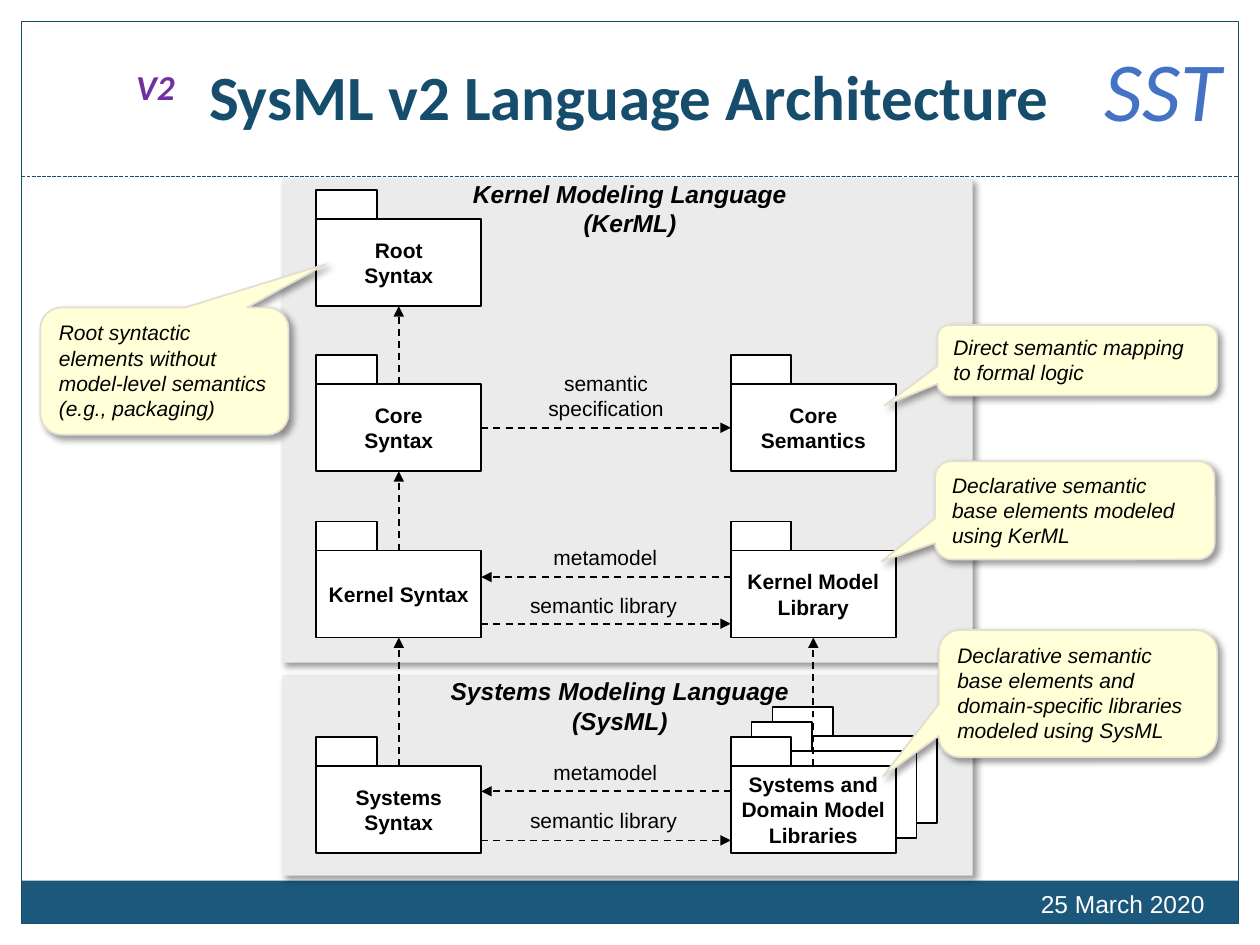
from lxml.etree import SubElement
from pptx import Presentation
from pptx.dml.color import RGBColor
from pptx.enum.dml import MSO_LINE
from pptx.enum.shapes import MSO_CONNECTOR, MSO_SHAPE
from pptx.enum.text import MSO_ANCHOR, PP_ALIGN
from pptx.oxml.ns import qn
from pptx.util import Inches, Pt

WHITE = RGBColor(0xFF, 0xFF, 0xFF)
BLACK = RGBColor(0, 0, 0)
NAVY = RGBColor(0x18, 0x4E, 0x6D)
TITLE = RGBColor(0x16, 0x4C, 0x6C)
FOOTER = RGBColor(0x1B, 0x58, 0x7C)
PURPLE = RGBColor(0x70, 0x30, 0xA0)
BLUE = RGBColor(0x44, 0x72, 0xC4)
PANEL = RGBColor(0xEB, 0xEB, 0xEB)
NOTE = RGBColor(0xFF, 0xFF, 0xD8)
NOTE_EDGE = RGBColor(0xE3, 0xDE, 0xD1)

PACKAGE_W, BODY_H, TAB_W, TAB_H = 1.31, 0.69, 0.48, 0.23
LEFT_X, RIGHT_X = 2.51, 5.8
ROOT_Y, CORE_Y, KERNEL_Y, SYSTEMS_Y = 1.74, 3.05, 4.37, 6.08


def write(shape, text, size, color, font="Arial", bold=False, italic=False,
          align=PP_ALIGN.LEFT, wrap=True, anchor=MSO_ANCHOR.TOP):
    """Set the text of a shape and format all its runs."""
    tf = shape.text_frame
    tf.text = text
    tf.word_wrap = wrap
    tf.vertical_anchor = anchor
    for p in tf.paragraphs:
        p.alignment = align
        for r in p.runs:
            r.font.size = Pt(size)
            r.font.name = font
            r.font.bold = bold
            r.font.italic = italic
            r.font.color.rgb = color


def add_label(slide, box, text, size, color, **style):
    """Add a text box."""
    sp = slide.shapes.add_textbox(*map(Inches, box))
    write(sp, text, size, color, **style)
    return sp


def add_box(slide, box, fill=None, line=None, width=1, kind=MSO_SHAPE.RECTANGLE):
    """Add a preset shape with a plain fill and outline."""
    sp = slide.shapes.add_shape(kind, *map(Inches, box))
    sp.shadow.inherit = False
    if fill is None:
        sp.fill.background()
    else:
        sp.fill.solid()
        sp.fill.fore_color.rgb = fill
    if line is None:
        sp.line.fill.background()
    else:
        sp.line.color.rgb = line
        sp.line.width = Pt(width)
    return sp


def cast_shadow(shape):
    """Give a shape a soft shadow to the lower right."""
    effects = shape._element.spPr.find(qn("a:effectLst"))
    shadow = SubElement(effects, qn("a:outerShdw"), blurRad=str(Pt(4)), dist=str(Pt(3)),
                        dir="2700000", algn="tl", rotWithShape="0")
    color = SubElement(shadow, qn("a:srgbClr"), val="000000")
    SubElement(color, qn("a:alpha"), val="40000")


def add_line(slide, start, end, color, dash, width=1):
    """Add a dashed straight connector."""
    cn = slide.shapes.add_connector(MSO_CONNECTOR.STRAIGHT, *map(Inches, (*start, *end)))
    cn.line.color.rgb = color
    cn.line.width = Pt(width)
    cn.line.dash_style = dash
    SubElement(cn._element.spPr, qn("a:effectLst"))
    return cn


def add_arrow(slide, start, end):
    """Add a dashed arrow between two points."""
    cn = add_line(slide, start, end, BLACK, MSO_LINE.DASH)
    SubElement(cn.line._get_or_add_ln(), qn("a:tailEnd"), type="triangle")
    return cn


def join(slide, source, source_side, target, target_side):
    """Add a dashed arrow glued to the sides of two shapes."""
    cn = add_arrow(slide, (0, 0), (1, 1))
    cn.begin_connect(source, source_side)
    cn.end_connect(target, target_side)


def add_package(slide, x, y, text=""):
    """Add a package whose body starts at x, y with its tab above; return the body."""
    body = add_box(slide, (x, y, PACKAGE_W, BODY_H), WHITE, BLACK)
    add_box(slide, (x, y - TAB_H, TAB_W, TAB_H), WHITE, BLACK)
    if text:
        write(body, text, 12, BLACK, bold=True, align=PP_ALIGN.CENTER,
              anchor=MSO_ANCHOR.MIDDLE)
    return body


def add_panel(slide, box, heading_box, heading):
    """Add a shaded language panel and its heading."""
    cast_shadow(add_box(slide, box, PANEL))
    add_label(slide, heading_box, heading, 14, BLACK, bold=True, italic=True,
              align=PP_ALIGN.CENTER, wrap=False)


def add_exchange(slide, top, back_y, forth_y):
    """Add the metamodel and library arrows between a syntax and its library."""
    left, right = LEFT_X + PACKAGE_W, RIGHT_X
    add_arrow(slide, (right, back_y), (left, back_y))
    add_arrow(slide, (left, forth_y), (right, forth_y))
    for x, y, w, text in ((4.29, top, 1.03, "metamodel"),
                          (4.1, top + 0.38, 1.38, "semantic library")):
        add_label(slide, (x, y, w, 0.3), text, 12, BLACK,
                  align=PP_ALIGN.CENTER, wrap=False)


def add_callout(slide, box, tip, text):
    """Add a note whose pointer ends at tip, given relative to the note's size."""
    sp = add_box(slide, box, NOTE, NOTE_EDGE, kind=MSO_SHAPE.ROUNDED_RECTANGULAR_CALLOUT)
    cast_shadow(sp)
    sp.adjustments[0], sp.adjustments[1] = tip
    write(sp, text, 12, BLACK, italic=True)


def add_frame(slide, x, y, w, h):
    """Add the page frame, header marks, title and dated footer band."""
    add_box(slide, (x, y + h - 0.34, w, 0.34), FOOTER)
    add_box(slide, (x, y, w, h), line=NAVY, width=0.75)
    add_line(slide, (x, 1.4), (x + w, 1.4), NAVY, MSO_LINE.SQUARE_DOT, 0.75)
    mark = add_label(slide, (1.08, 0.52, 0.31, 0.34), "V2", 20, PURPLE, font="Calibri",
                     bold=True, italic=True, wrap=False)
    tf = mark.text_frame
    tf.margin_left = tf.margin_top = tf.margin_right = tf.margin_bottom = 0
    add_label(slide, (8.67, 0.25, 1.14, 0.91), "SST", 48, BLUE, font="Calibri",
              italic=True, wrap=False)
    title = slide.shapes.title
    title.left, title.top, title.width, title.height = map(Inches, (0.33, 0.34, 9.33, 0.83))
    write(title, "SysML v2 Language Architecture", 36, TITLE, font="Calibri", bold=True,
          align=PP_ALIGN.CENTER, anchor=MSO_ANCHOR.MIDDLE)
    add_label(slide, (6.33, 7.01, 3.33, 0.4), "25 March 2020", 14, WHITE,
              align=PP_ALIGN.RIGHT)


def add_architecture(slide, x, y, w):
    """Add the two language panels with their packages and arrows."""
    add_panel(slide, (x, y + 3.94, w, 1.59), (3.47, 5.32, 2.9, 0.57),
              "Systems Modeling Language\v(SysML)")
    add_panel(slide, (x, y, w, 3.84), (3.65, 1.37, 2.7, 0.57),
              "Kernel Modeling Language\v(KerML)")
    for step in (2, 1):
        add_package(slide, RIGHT_X + 0.165 * step, SYSTEMS_Y - 0.12 * step)
    root = add_package(slide, LEFT_X, ROOT_Y, "Root\vSyntax")
    core = add_package(slide, LEFT_X, CORE_Y, "Core\vSyntax")
    kernel = add_package(slide, LEFT_X, KERNEL_Y, "Kernel Syntax")
    systems = add_package(slide, LEFT_X, SYSTEMS_Y, "Systems Syntax")
    library = add_package(slide, RIGHT_X, KERNEL_Y, "Kernel Model Library")
    domain = add_package(slide, RIGHT_X, SYSTEMS_Y, "Systems and Domain Model Libraries")
    domain.text_frame.margin_left = domain.text_frame.margin_right = 0
    semantics = add_package(slide, RIGHT_X, CORE_Y, "Core Semantics")

    for source, target in ((core, root), (kernel, core), (systems, kernel), (domain, library)):
        join(slide, source, 0, target, 2)
    join(slide, core, 3, semantics, 1)
    add_label(slide, (4.25, 2.89, 1.12, 0.5), "semantic\nspecification", 12, BLACK,
              align=PP_ALIGN.CENTER, wrap=False)
    add_exchange(slide, 4.27, 4.58, 4.95)
    add_exchange(slide, 5.98, 6.28, 6.67)


def add_callouts(slide):
    """Add the explanatory notes at both sides of the panels."""
    for box, tip, text in (
        ((7.44, 2.58, 2.22, 0.56), (-0.69, 0.64), "Direct semantic mapping to formal logic"),
        ((7.42, 3.66, 2.22, 0.78), (-0.69, 0.52),
         "Declarative semantic base elements modeled using KerML"),
        ((7.45, 5, 2.21, 1.01), (-0.7, 0.65),
         "Declarative semantic base elements and domain-specific libraries "
         "modeled using SysML"),
        ((0.32, 2.44, 1.97, 1.01), (0.65, -0.84),
         "Root syntactic elements without model-level semantics (e.g., packaging)"),
    ):
        add_callout(slide, box, tip, text)


def main():
    """Build and save the slide."""
    prs = Presentation()
    prs.slide_width, prs.slide_height = Inches(10), Inches(7.5)
    slide = prs.slides.add_slide(prs.slide_layouts[5])
    add_frame(slide, 0.17, 0.17, 9.66, 7.16)
    add_architecture(slide, 2.24, 1.42, 5.48)
    add_callouts(slide)
    prs.save("out.pptx")


if __name__ == "__main__":
    main()
